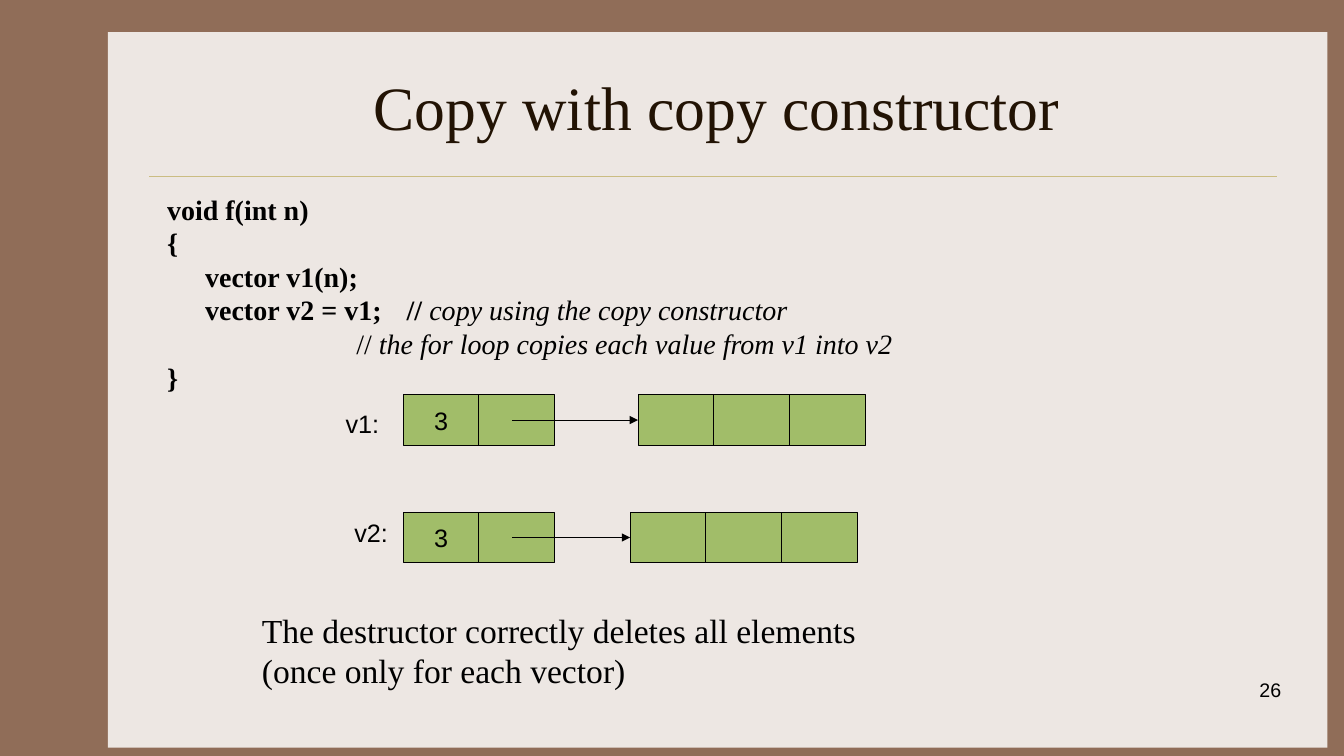
from lxml import etree
from pptx import Presentation
from pptx.dml.color import RGBColor
from pptx.enum.shapes import MSO_CONNECTOR as CONNECTOR, MSO_SHAPE as SHAPE
from pptx.enum.text import MSO_ANCHOR as ANCHOR, PP_ALIGN as ALIGN
from pptx.oxml.ns import qn
from pptx.util import Cm, Pt

SERIF, SANS = "Times New Roman", "Arial"
BLACK, GREEN = "000000", "A1BD69"
CELL_W, CELL_H = 1.91, 1.27
HEADER_X = 10.16

# Each line is a list of (text, bold, italic) runs.
CODE = [
    [("void f(int n)", True, False)],
    [("{", True, False)],
    [("\tvector v1(n);", True, False)],
    [("\tvector v2 = v1;\t// ", True, False),
     ("copy using the copy constructor", False, True)],
    [("\t\t\t\t// ", False, False),
     ("the for loop copies each value from v1 into v2", False, True)],
    [("}", True, False)],
]


def rgb(value):
    return RGBColor.from_string(value)


def style_font(font, name, size, color=BLACK):
    font.name, font.size = name, Pt(size)
    font.color.rgb = rgb(color)


def add_rect(slide, x, y, w, h, fill, outlined=True):
    sp = slide.shapes.add_shape(SHAPE.RECTANGLE, Cm(x), Cm(y), Cm(w), Cm(h))
    sp.shadow.inherit = False
    sp.fill.solid()
    sp.fill.fore_color.rgb = rgb(fill)
    if outlined:
        sp.line.color.rgb = rgb(BLACK)
        sp.line.width = Pt(0.75)
    else:
        sp.line.fill.background()
    return sp


def add_line(slide, x1, x2, y, color, width, arrow=False):
    """Draw a horizontal line, with an optional arrowhead at x2."""
    line = slide.shapes.add_connector(
        CONNECTOR.STRAIGHT, Cm(x1), Cm(y), Cm(x2), Cm(y))
    line.line.color.rgb = rgb(color)
    line.line.width = Pt(width)
    if arrow:
        etree.SubElement(line.line._get_or_add_ln(), qn("a:tailEnd"),
                         type="triangle")
    etree.SubElement(line._element.spPr, qn("a:effectLst"))


def add_box(slide, x, y, w, h):
    tf = slide.shapes.add_textbox(Cm(x), Cm(y), Cm(w), Cm(h)).text_frame
    tf.word_wrap = True
    return tf


def write(tf, text, font, size, color=BLACK, align=ALIGN.LEFT):
    p = tf.paragraphs[0]
    p.text = text
    p.alignment = align
    for r in p.runs:
        style_font(r.font, font, size, color)


def add_code(slide):
    tf = add_box(slide, 3.96, 4.88, 28.22, 11.43)
    for i, runs in enumerate(CODE):
        p = tf.add_paragraph() if i else tf.paragraphs[0]
        p.line_spacing = 0.8
        p.space_before = Pt(4.8)
        pPr = p._p.get_or_add_pPr()
        pPr.set("marL", str(Cm(0.96)))
        pPr.set("indent", str(Cm(-0.96)))
        for text, bold, italic in runs:
            r = p.add_run()
            r.text = text
            style_font(r.font, SERIF, 20)
            r.font.bold, r.font.italic = bold, italic


def add_cells(slide, x, y, texts):
    for i, text in enumerate(texts):
        tf = add_rect(slide, x + i * CELL_W, y, CELL_W, CELL_H, GREEN).text_frame
        tf.vertical_anchor = ANCHOR.MIDDLE
        if text:
            write(tf, text, SANS, 18, align=ALIGN.CENTER)


def add_vector(slide, name, label_x, label_y, y, array_x):
    """Draw a vector header (size and pointer) and the array it points to."""
    write(add_box(slide, label_x, label_y, 1.7, 1.02), name, SANS, 18)
    add_cells(slide, HEADER_X, y, ["3", ""])
    add_cells(slide, array_x, y, [""] * 3)
    add_line(slide, 12.91, array_x, y + CELL_H / 2, BLACK, 0.75, arrow=True)


def main():
    prs = Presentation()
    prs.slide_width, prs.slide_height = Cm(33.87), Cm(19.05)
    s = prs.slides.add_slide(prs.slide_layouts[6])
    s.background.fill.solid()
    s.background.fill.fore_color.rgb = rgb("906D58")

    add_rect(s, 2.72, 0.81, 30.73, 18.03, "EDE7E3", outlined=False)
    add_line(s, 3.76, 32.18, 4.45, "CBBD83", 0.25)

    title = add_box(s, 3.96, 1.07, 28.22, 3.18)
    title.vertical_anchor = ANCHOR.MIDDLE
    write(title, "Copy with copy constructor", SERIF, 44, "221304", ALIGN.CENTER)

    add_code(s)
    add_vector(s, "v1:", 8.46, 10.16, 9.95, 16.08)
    add_vector(s, "v2:", 8.68, 12.91, 12.91, 15.88)
    write(add_box(s, 6.35, 15.24, 19.9, 2.31),
          "The destructor correctly deletes all elements\n"
          "(once only for each vector)", SERIF, 24)
    write(add_box(s, 25.48, 16.97, 7.06, 1.27), "26", SANS, 14,
          align=ALIGN.RIGHT)
    prs.save("out.pptx")


if __name__ == "__main__":
    main()
